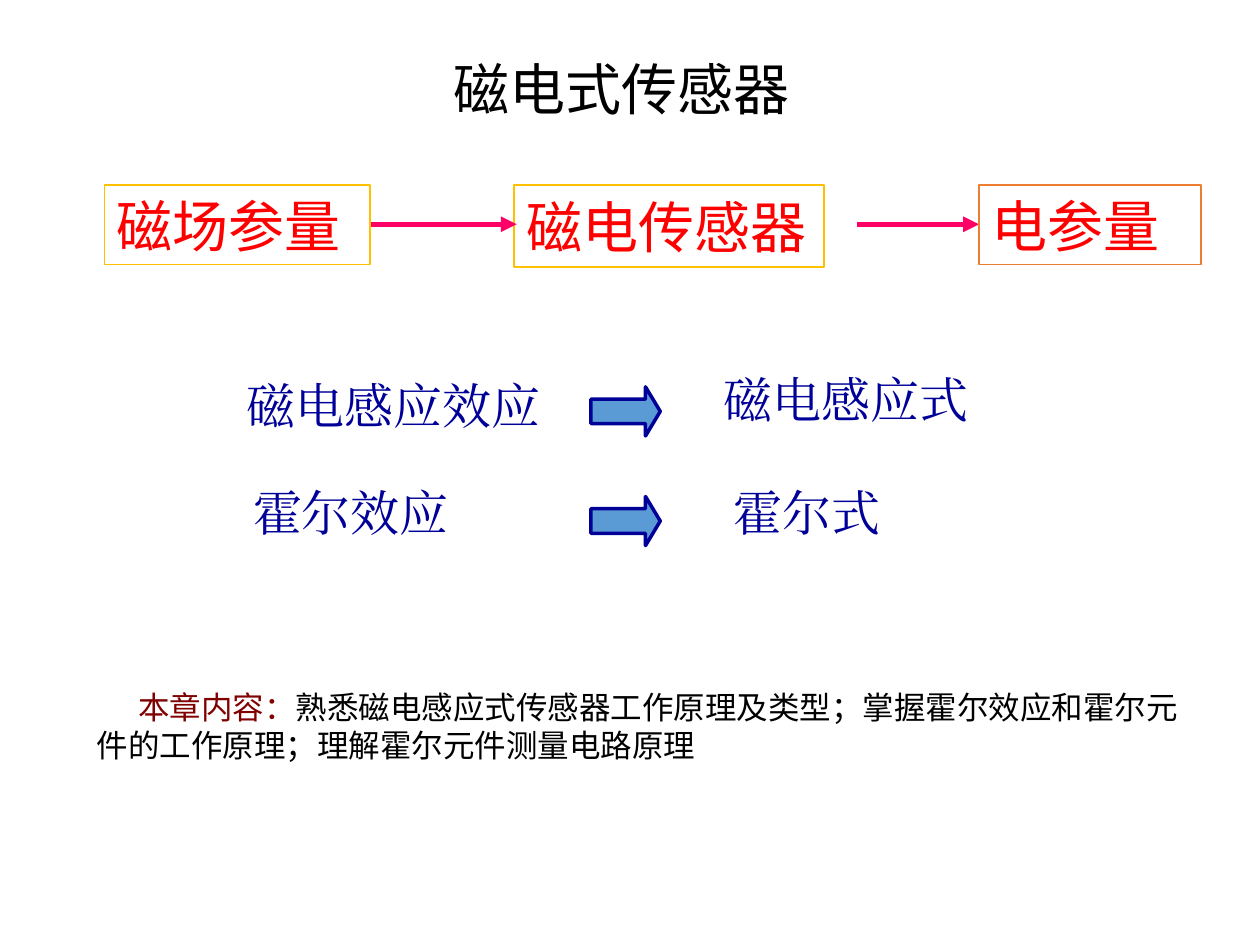
from lxml import etree
from pptx import Presentation
from pptx.dml.color import RGBColor
from pptx.enum import shapes, text
from pptx.oxml import ns
from pptx.util import Inches, Pt

COLORS = {
    "black": "000000", "white": "FFFFFF", "red": "FF0000", "navy": "000099",
    "gold": "FFC000", "orange": "ED7D31", "pink": "FF0066", "blue": "5B9BD5",
    "maroon": "800000",
}
SANS, SERIF, BODY = "Noto Sans CJK SC", "Times New Roman", "Calibri"


def color(name):
    return RGBColor.from_string(COLORS[name])


def style(run, face, size, tone):
    """Format a run, with one face for Latin and Chinese letters."""
    run.font.name = face
    run.font.size = Pt(size)
    run.font.color.rgb = color(tone)
    east = etree.SubElement(run._r.get_or_add_rPr(), ns.qn("a:ea"))
    east.set("typeface", face)


def fill_text(shape, parts, face, size, align=text.PP_ALIGN.LEFT, wrap=True):
    """Write (words, color) parts as one paragraph, centred in height."""
    frame = shape.text_frame
    frame.word_wrap = wrap
    frame.vertical_anchor = text.MSO_ANCHOR.MIDDLE
    para = frame.paragraphs[0]
    para.alignment = align
    for words, tone in parts:
        run = para.add_run()
        run.text = words
        style(run, face, size, tone)
    return para


def add_text(slide, box, parts, face, size, **layout):
    label = slide.shapes.add_textbox(*map(Inches, box))
    return fill_text(label, parts, face, size, **layout)


def add_block(slide, kind, box, fill, edge, width):
    block = slide.shapes.add_shape(kind, *map(Inches, box))
    block.shadow.inherit = False
    block.fill.solid()
    block.fill.fore_color.rgb = color(fill)
    block.line.color.rgb = color(edge)
    block.line.width = Pt(width)
    return block


def add_arrow(slide, start, end, y):
    arrow = slide.shapes.add_connector(
        shapes.MSO_CONNECTOR.STRAIGHT,
        Inches(start), Inches(y), Inches(end), Inches(y))
    arrow.line.color.rgb = color("pink")
    arrow.line.width = Pt(3)
    etree.SubElement(arrow.line._get_or_add_ln(),
                     ns.qn("a:tailEnd")).set("type", "triangle")
    etree.SubElement(arrow._element.spPr, ns.qn("a:effectLst"))


def add_title(slide, box):
    para = add_text(slide, box, [("磁电式传感器", "black")], SANS, 32, wrap=False)
    para.line_spacing = 0.9


def add_flow(slide, left, top):
    """Draw the chain from magnetic to electric quantity."""
    def stage(words, x, width, height, edge):
        block = add_block(slide, shapes.MSO_SHAPE.RECTANGLE,
                          (left + x, top, width, height), "white", edge, 1)
        fill_text(block, [(words, "red")], SANS, 32)

    level = top + 0.31
    stage("磁电传感器", 3.25, 2.46, 0.65, "gold")
    add_arrow(slide, left + 0.35, left + 3.27, level)
    stage("磁场参量", 0, 2.11, 0.63, "gold")  # covers the arrow's start
    add_arrow(slide, left + 5.97, left + 6.94, level)
    stage("电参量", 6.94, 1.76, 0.63, "orange")


def add_effects(slide, left, top):
    """Pair each effect with the sensor type that uses it."""
    labels = [
        ("磁电感应效应", 0.34, 0.05), ("霍尔效应", 0, 0.9),
        ("磁电感应式", 3.93, 0), ("霍尔式", 3.62, 0.9),
    ]
    for words, x, y in labels:
        add_text(slide, (left + x, top + y, 2.81, 0.57), [(words, "navy")],
                 SERIF, 28, align=text.PP_ALIGN.CENTER)
    for row in range(2):
        arrow = add_block(slide, shapes.MSO_SHAPE.RIGHT_ARROW,
                          (left + 3.31, top + 0.19 + row * 0.87, 0.55, 0.39),
                          "blue", "navy", 2)
        arrow.adjustments[1] = 0.3


def add_summary(slide, box):
    parts = [
        ("本章内容：", "maroon"),
        ("熟悉磁电感应式传感器工作原理及类型；掌握霍尔效应和霍尔元件的工作原理；"
         "理解霍尔元件测量电路原理", "black"),
    ]
    para = add_text(slide, box, parts, BODY, 18)
    para._p.get_or_add_pPr().set("indent", str(Inches(0.33)))


def main():
    deck = Presentation()
    deck.slide_width, deck.slide_height = Inches(10), Inches(7.5)
    slide = deck.slides.add_slide(deck.slide_layouts[6])
    add_title(slide, (3.5, 0.44, 2.88, 0.58))
    add_effects(slide, 1.38, 2.88)
    add_flow(slide, 0.83, 1.47)
    add_summary(slide, (0.67, 5.01, 8.98, 1.5))
    deck.save("out.pptx")


if __name__ == "__main__":
    main()
